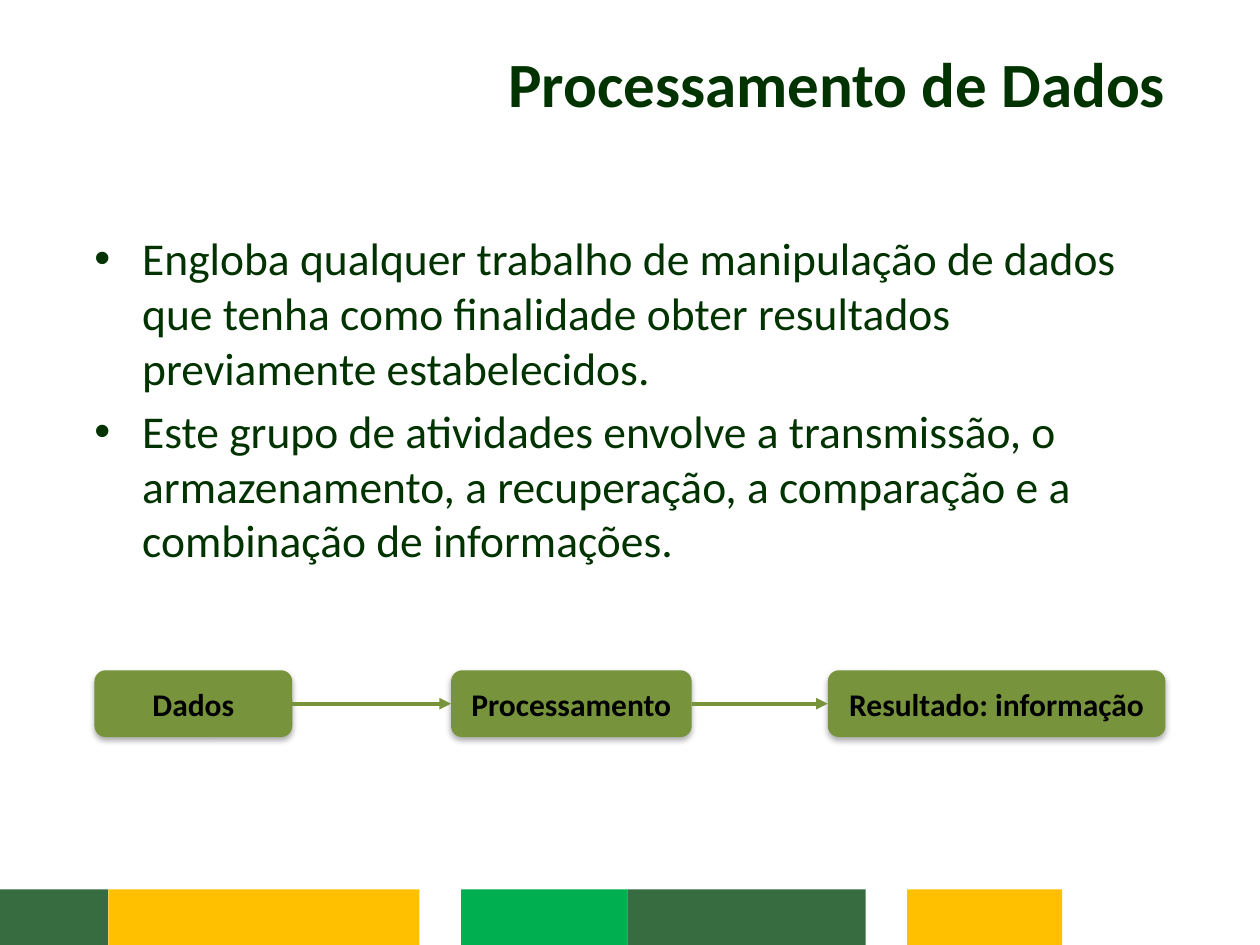
import pptx
import pptx.dml.color
import pptx.enum.shapes
import pptx.enum.text
import pptx.oxml
import pptx.oxml.ns
import pptx.util
from lxml import etree

RGBColor = pptx.dml.color.RGBColor
MSO_SHAPE = pptx.enum.shapes.MSO_SHAPE
PP_ALIGN = pptx.enum.text.PP_ALIGN
MSO_ANCHOR = pptx.enum.text.MSO_ANCHOR
Inches, Pt = pptx.util.Inches, pptx.util.Pt
qn = pptx.oxml.ns.qn

TEXT_GREEN = RGBColor(0x00, 0x33, 0x00)
OLIVE = RGBColor(0x77, 0x93, 0x3C)
DARK_GREEN = RGBColor(0x37, 0x6C, 0x41)
BRIGHT_GREEN = RGBColor(0x00, 0xB0, 0x50)
AMBER = RGBColor(0xFF, 0xC0, 0x00)
BLACK = RGBColor(0x00, 0x00, 0x00)
FONT = "Calibri"

WIDTH, HEIGHT = 10, 7.5

TITLE = "Processamento de Dados"
BULLETS = [
    "Engloba qualquer trabalho de manipulação de dados que tenha como "
    "finalidade obter resultados previamente estabelecidos.",
    "Este grupo de atividades envolve a transmissão, o armazenamento, a "
    "recuperação, a comparação e a combinação de informações.",
]
# Offset from the left of the flow, width, label
STEPS = [
    (0, 1.57, "Dados"),
    (2.83, 1.91, "Processamento"),
    (5.82, 2.68, "Resultado: informação"),
]
# Left edge, width, colour
STRIPES = [
    (0, 0.86, DARK_GREEN),
    (0.86, 2.47, AMBER),
    (3.66, 1.32, BRIGHT_GREEN),
    (4.98, 1.89, DARK_GREEN),
    (7.2, 1.23, AMBER),
]


def add_run(p, text, size, color, bold=False):
    r = p.add_run()
    r.text = text
    r.font.name = FONT
    r.font.size = Pt(size)
    r.font.bold = bold
    r.font.color.rgb = color


def add_text_frame(slide, box, anchor):
    tf = slide.shapes.add_textbox(*map(Inches, box)).text_frame
    tf.word_wrap = True
    tf.vertical_anchor = anchor
    return tf


def add_filled(slide, kind, box, color):
    sp = slide.shapes.add_shape(kind, *map(Inches, box))
    sp.fill.solid()
    sp.fill.fore_color.rgb = color
    sp.line.fill.background()
    sp.shadow.inherit = False
    return sp


def add_bullet(p, indent):
    pPr = p._p.get_or_add_pPr()
    pPr.set("marL", str(indent))
    pPr.set("indent", str(-indent))
    etree.SubElement(pPr, qn("a:buFont"), typeface="Arial")
    etree.SubElement(pPr, qn("a:buChar"), char="•")


def add_soft_shadow(sp):
    effects = sp._element.spPr.find(qn("a:effectLst"))
    shadow = etree.SubElement(
        effects, qn("a:outerShdw"), blurRad=str(Pt(3.5)), dist=str(Pt(2.2)),
        dir="5400000", rotWithShape="0")
    color = etree.SubElement(shadow, qn("a:srgbClr"), val=str(BLACK))
    etree.SubElement(color, qn("a:alpha"), val="32000")


def add_arrow(slide, start, end):
    """Join the right side of start to the left side of end."""
    line = slide.shapes.add_connector(
        pptx.enum.shapes.MSO_CONNECTOR.STRAIGHT, 0, 0, 0, 0)
    line.begin_connect(start, 3)
    line.end_connect(end, 1)
    line.line.color.rgb = OLIVE
    line.line.width = Pt(2.25)
    etree.SubElement(line.line._get_or_add_ln(), qn("a:tailEnd"), type="triangle")
    etree.SubElement(line._element.spPr, qn("a:effectLst"))


def add_stripes(slide, box):
    left, top, width, height = box
    scale = width / WIDTH
    for x, w, color in STRIPES:
        add_filled(slide, MSO_SHAPE.RECTANGLE,
                   (left + x * scale, top, w * scale, height), color)


def add_title(slide, box):
    p = add_text_frame(slide, box, MSO_ANCHOR.MIDDLE).paragraphs[0]
    p.alignment = PP_ALIGN.RIGHT
    add_run(p, TITLE, 36, TEXT_GREEN, bold=True)


def add_body(slide, box):
    tf = add_text_frame(slide, box, MSO_ANCHOR.TOP)
    for i, text in enumerate(BULLETS):
        p = tf.add_paragraph() if i else tf.paragraphs[0]
        if i:
            p.space_before = Pt(5.2)
        add_bullet(p, Inches(0.38))
        add_run(p, text, 26, TEXT_GREEN)


def add_flow(slide, box):
    left, top, width, height = box
    scale = width / (STEPS[-1][0] + STEPS[-1][1])
    steps = []
    for x, w, label in STEPS:
        sp = add_filled(slide, MSO_SHAPE.ROUNDED_RECTANGLE,
                        (left + x * scale, top, w * scale, height), OLIVE)
        add_soft_shadow(sp)
        tf = sp.text_frame
        tf.word_wrap = True
        tf.vertical_anchor = MSO_ANCHOR.MIDDLE
        p = tf.paragraphs[0]
        p.alignment = PP_ALIGN.CENTER
        add_run(p, label, 18, BLACK, bold=True)
        steps.append(sp)
    for start, end in zip(steps, steps[1:]):
        add_arrow(slide, start, end)


def main():
    prs = pptx.Presentation()
    prs.slide_width, prs.slide_height = Inches(WIDTH), Inches(HEIGHT)
    slide = prs.slides.add_slide(prs.slide_layouts[6])
    add_stripes(slide, (0, 7.06, WIDTH, HEIGHT - 7.06))
    add_title(slide, (0.35, 0.03, 9, 1.25))
    add_body(slide, (0.65, 1.78, 8.68, 5.14))
    add_flow(slide, (0.75, 5.32, 8.5, 0.53))
    prs.save("out.pptx")


if __name__ == "__main__":
    main()
